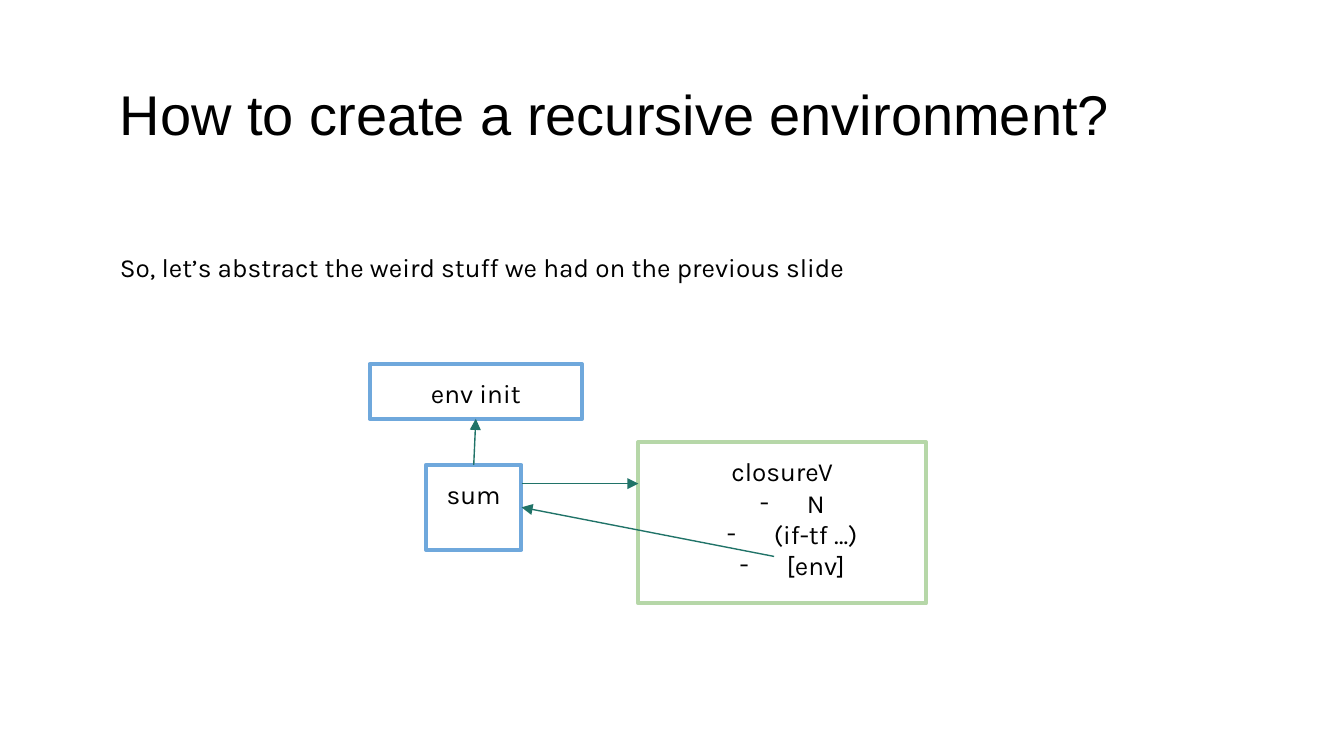
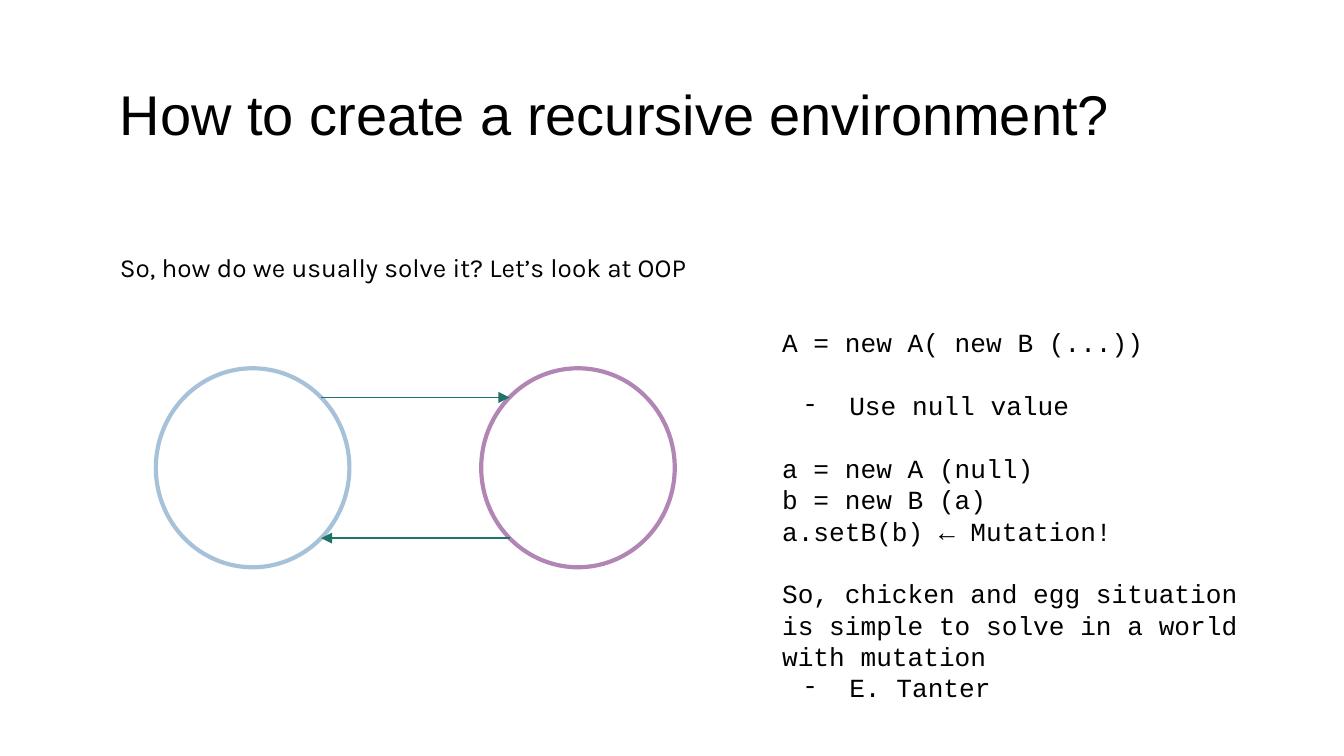
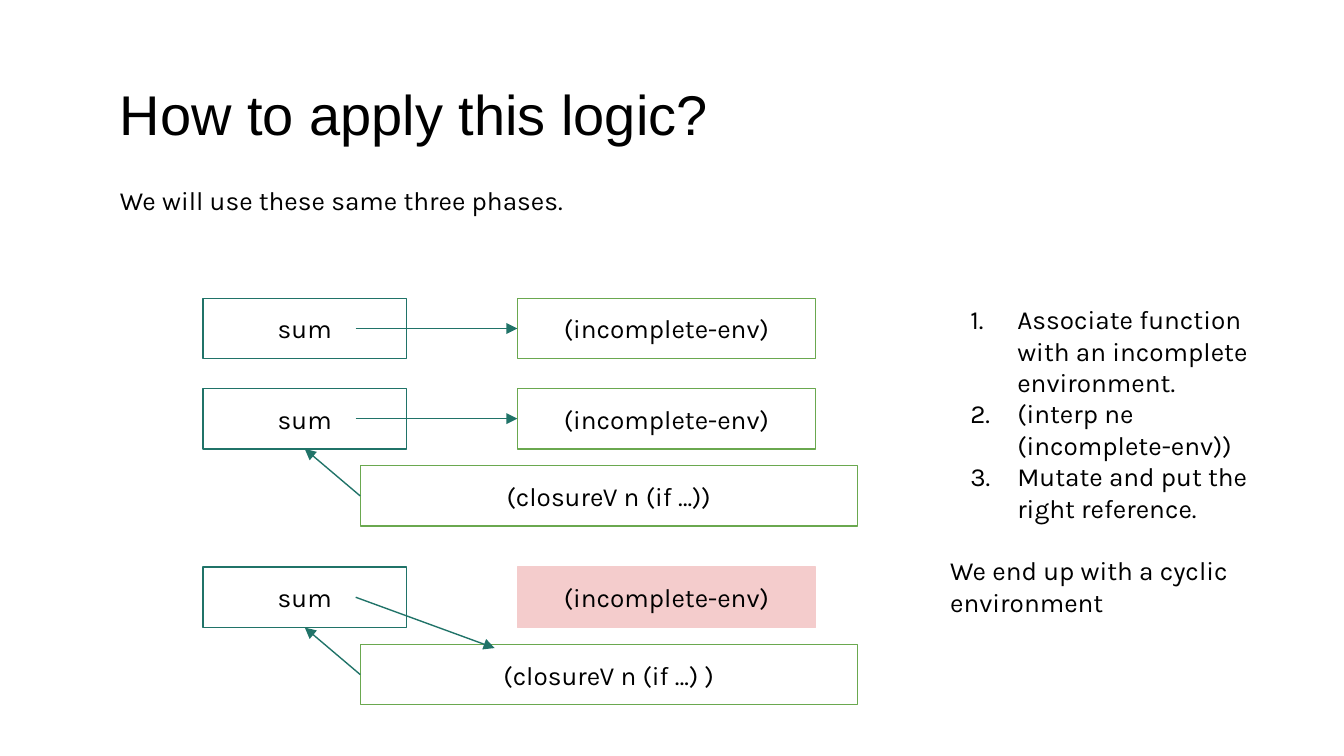
"""Build three slides on recursive environments."""
from math import sqrt

from lxml.etree import SubElement
from pptx import Presentation
from pptx.dml.color import RGBColor
from pptx.enum.shapes import MSO_CONNECTOR as Connector, MSO_SHAPE as Shape
from pptx.enum.text import MSO_ANCHOR as Anchor, MSO_AUTO_SIZE as AutoSize, PP_ALIGN as Align
from pptx.oxml.ns import qn
from pptx.util import Pt

COLORS = {
    "text": "000000", "arrow": "207368", "frame": "6FA8DC", "closure": "B6D7A8",
    "object_a": "A6C1D8", "object_b": "B185B4", "env": "6AA84F", "stale": "F4CCCC",
}
SANS, BODY, CODE = "Arial", "Karla", "Courier New"
TITLE_SIZE, BODY_SIZE, LEADING = 30, 14, 1.2
INSET, HANG_LEFT, HANG = 7.2, 36, -25.2
THIN, THICK = 0.75, 2.25
GAP = BODY_SIZE * LEADING
DASH, NUMBER = ("a:buChar", "char", "-"), ("a:buAutoNum", "type", "arabicPeriod")

RECURSIVE_TITLE = "How to create a recursive environment?"
ABSTRACT_LEAD = "So, let’s abstract the weird stuff we had on the previous slide"
OOP_LEAD = "So, how do we usually solve it? Let’s look at OOP"
LOGIC_TITLE = "How to apply this logic?"
PHASES_LEAD = "We will use these same three phases."

CLOSURE_LINES = [("closureV", None, 0), ("N", DASH, 0), ("(if-tf …)", DASH, 0), ("[env]", DASH, 0)]
MUTATION_LINES = [
    ("A = new A( new B (...))", None, 0),
    ("Use null value", DASH, GAP),
    ("a = new A (null)", None, GAP),
    ("b = new B (a)", None, 0),
    ("a.setB(b) ← Mutation!", None, 0),
    ("So, chicken and egg situation is simple to solve in a world with mutation", None, GAP),
    ("E. Tanter", DASH, 0),
]
PHASE_LINES = [
    ("Associate function with an incomplete environment.", NUMBER, 0),
    ("(interp ne (incomplete-env))", NUMBER, 0),
    ("Mutate and put the right reference.", NUMBER, 0),
    ("We end up with a cyclic environment", None, GAP),
]
PHASE_ROWS = [
    (159.8, None, False),
    (208.1, "(closureV n (if …))", False),
    (303.8, "(closureV n (if …) )", True),
]

TITLE_BOX = (57, 35.2, 623.5, 87)
LEAD_BOX = (57, 127.4, 571.7, 45)
PHASES_LEAD_BOX = (57, 91.4, 571.7, 45)
MUTATION_BOX = (411.8, 167.8, 268.6, 191.5)
PHASE_LIST_BOX = (501.8, 155.5, 195.1, 193.7)
INIT_BOX = (198, 195.1, 113.8, 29.3)
SUM_BOX = (228.2, 249.1, 51.2, 45.4)
CLOSURE_BOX = (342, 236.9, 154.1, 86.4)


def rgb(name):
    return RGBColor.from_string(COLORS[name])


def write(frame, lines, face=BODY, size=BODY_SIZE, align=Align.LEFT, anchor=Anchor.TOP):
    frame.word_wrap = True
    frame.auto_size = AutoSize.NONE
    frame.vertical_anchor = anchor
    frame.margin_left = frame.margin_right = frame.margin_top = frame.margin_bottom = Pt(INSET)
    for index, (text, bullet, gap) in enumerate(lines):
        paragraph = frame.add_paragraph() if index else frame.paragraphs[0]
        paragraph.alignment = align
        paragraph.line_spacing = Pt(size * LEADING)
        paragraph.space_before = Pt(gap)
        paragraph.space_after = Pt(0)
        run = paragraph.add_run()
        run.text = text
        run.font.name, run.font.size = face, Pt(size)
        run.font.color.rgb = rgb("text")
        props = paragraph._p.get_or_add_pPr()
        props.set("marL", str(Pt(HANG_LEFT if bullet else 0)))
        props.set("indent", str(Pt(HANG if bullet else 0)))
        if bullet:
            tag, attribute, mark = bullet
            SubElement(props, qn("a:buFont")).set("typeface", face)
            SubElement(props, qn(tag)).set(attribute, mark)
        else:
            SubElement(props, qn("a:buNone"))


def place(holder, box):
    holder.left, holder.top, holder.width, holder.height = map(Pt, box)
    return holder.text_frame


def start_slide(deck, layout, title, lead, lead_box=LEAD_BOX):
    slide = deck.slides.add_slide(deck.slide_layouts[layout])
    write(place(slide.shapes.title, TITLE_BOX), [(title, None, 0)], SANS, TITLE_SIZE)
    write(place(slide.placeholders[1], lead_box), [(lead, None, 0)])
    return slide


def draw(slide, box, color, lines=(), kind=Shape.RECTANGLE, width=THICK, fill=None, anchor=Anchor.TOP):
    node = slide.shapes.add_shape(kind, *map(Pt, box))
    node.shadow.inherit = False
    if fill:
        node.fill.solid()
        node.fill.fore_color.rgb = rgb(fill)
    else:
        node.fill.background()
    node.line.color.rgb = rgb(color)
    node.line.width = Pt(width)
    if lines:
        write(node.text_frame, lines, align=Align.CENTER, anchor=anchor)


def point_to(slide, start, end):
    arrow = slide.shapes.add_connector(Connector.STRAIGHT, *map(Pt, (*start, *end)))
    arrow.line.color.rgb = rgb("arrow")
    arrow.line.width = Pt(THIN)
    SubElement(arrow.line._get_or_add_ln(), qn("a:tailEnd")).set("type", "triangle")
    SubElement(arrow._element.spPr, qn("a:effectLst"))


def spot(box, across, down):
    left, top, width, height = box
    return left + across * width, top + down * height


def build_abstract(deck):
    slide = start_slide(deck, 1, RECURSIVE_TITLE, ABSTRACT_LEAD)
    draw(slide, SUM_BOX, "frame", [("sum", None, 0)])
    draw(slide, CLOSURE_BOX, "closure", CLOSURE_LINES)
    draw(slide, INIT_BOX, "frame", [("env init", None, 0)])
    sum_right, sum_out = spot(SUM_BOX, 1, 0.22)
    point_to(slide, (sum_right, sum_out), (CLOSURE_BOX[0], sum_out))
    point_to(slide, (414.7, 298.1), spot(SUM_BOX, 1, 0.5))
    point_to(slide, spot(SUM_BOX, 0.5, 0), spot(INIT_BOX, 0.5, 1))


def build_oop(deck):
    slide = start_slide(deck, 3, RECURSIVE_TITLE, OOP_LEAD)
    object_a, object_b = [(left, 197.3, 103.7, 106.6) for left in (83.5, 257.8)]
    draw(slide, object_a, "object_a", kind=Shape.OVAL)
    draw(slide, object_b, "object_b", kind=Shape.OVAL)
    far = 0.5 + sqrt(2) / 4
    near = 1 - far
    point_to(slide, spot(object_a, far, near), spot(object_b, near, near))
    point_to(slide, spot(object_b, near, far), spot(object_a, far, far))
    write(place(slide.placeholders[2], MUTATION_BOX), MUTATION_LINES, CODE)


def build_phases(deck):
    slide = start_slide(deck, 3, LOGIC_TITLE, PHASES_LEAD, PHASES_LEAD_BOX)
    write(place(slide.placeholders[2], PHASE_LIST_BOX), PHASE_LINES)
    for top, closure, mutated in PHASE_ROWS:
        sum_box = (108.7, top, 109.2, 32.4)
        env_box = (277.2, top, 159.8, 32.4)
        closure_box = (193, top + 41.4, 266.4, 32.4)
        env_color = "stale" if mutated else "env"
        cells = [(sum_box, "arrow", "sum", None),
                 (env_box, env_color, "(incomplete-env)", "stale" if mutated else None)]
        if closure:
            cells.append((closure_box, "env", closure, None))
        for box, color, text, fill in cells:
            draw(slide, box, color, [(text, None, 0)], width=THIN, fill=fill, anchor=Anchor.MIDDLE)
        target = (265, closure_box[1] + 2) if mutated else spot(env_box, 0, 0.5)
        point_to(slide, spot(sum_box, 0.75, 0.5), target)
        if closure:
            point_to(slide, spot(closure_box, 0, 0.5), spot(sum_box, 0.5, 1))


def main():
    deck = Presentation()
    deck.slide_width, deck.slide_height = Pt(720), Pt(405)
    for build in (build_abstract, build_oop, build_phases):
        build(deck)
    deck.save("out.pptx")


if __name__ == "__main__":
    main()
